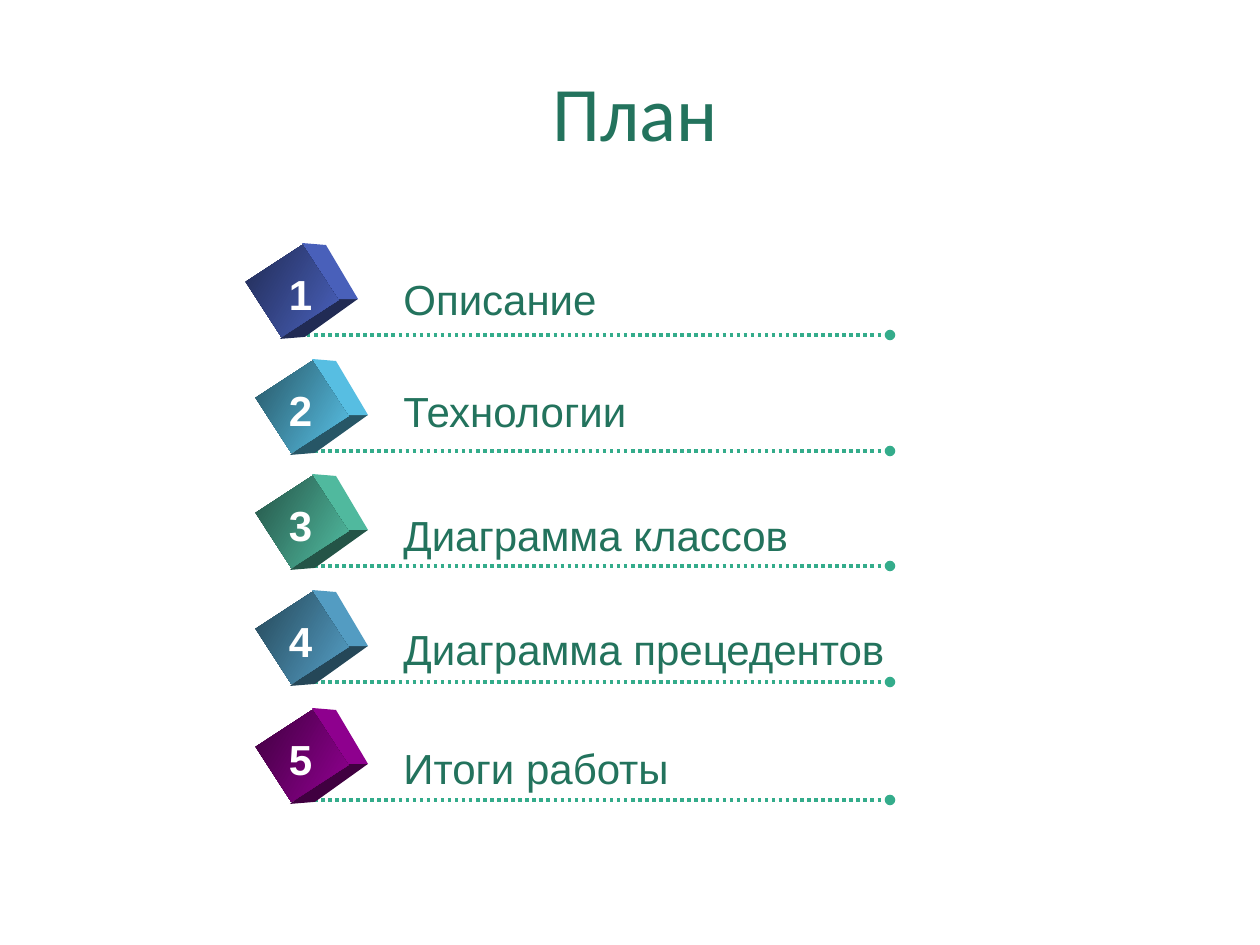
from lxml import etree
from pptx import Presentation, util as u
from pptx.dml.color import RGBColor
from pptx.enum import dml, shapes, text
from pptx.oxml.ns import qn

PX = 914400 / 126  # EMU per px
COLORS = {"text": "23735D", "line": "34AC8B", "number": "FFFFFF"}

# number, label, label top, label width, rule y, cube centre x, cube colour
ROWS = [
    ("1", "Описание", 267, 221, 335, 292, "4E67C8"),
    ("2", "Технологии", 379, 251, 451, 302, "5ECCF3"),
    ("3", "Диаграмма классов", 503, 415, 566, 302, "56C7AA"),
    ("4", "Диаграмма прецедентов", 617, 512, 682, 302, "59A8D1"),
    ("5", "Итоги работы", 736, 294, 800, 302, "990099"),
]
# Side faces of a cube: shade and corners relative to the front face's centre
SIDES = [
    (0.42, [(43, 8), (66, 8), (13, 46), (-12, 48)]),
    (0.93, [(10, -48), (34, -46), (66, 8), (43, 8)]),
]


def emu(px):
    return round(px * PX)


def shade(color, factor):
    return RGBColor(*(round(c * factor) for c in bytes.fromhex(color)))


class Deck:
    def __init__(self, prs):
        self.s = prs.slides.add_slide(prs.slide_layouts[6])

    def label(self, words, box, size, font="Arial", color="text", bold=False,
              center=False, wrap=False):
        tf = self.s.shapes.add_textbox(*map(emu, box)).text_frame
        tf.word_wrap = wrap
        tf.vertical_anchor = text.MSO_ANCHOR.MIDDLE
        p = tf.paragraphs[0]
        p.text = words
        p.alignment = text.PP_ALIGN.CENTER if center else text.PP_ALIGN.LEFT
        p.font.name, p.font.size, p.font.bold = font, u.Pt(size), bold
        p.font.color.rgb = RGBColor.from_string(COLORS[color])

    def rule(self, x1, x2, y):
        line = self.s.shapes.add_connector(
            shapes.MSO_CONNECTOR.STRAIGHT, emu(x1), emu(y), emu(x2), emu(y))
        line.line.color.rgb = RGBColor.from_string(COLORS["line"])
        line.line.width = u.Pt(2)
        line.line.dash_style = dml.MSO_LINE.ROUND_DOT
        sp_pr = line._element.spPr
        etree.SubElement(sp_pr.find(qn("a:ln")), qn("a:tailEnd"), type="oval")
        etree.SubElement(sp_pr, qn("a:effectLst"))

    def cube(self, cx, cy, color):
        for factor, corners in SIDES:
            points = [(cx + x, cy + y) for x, y in corners]
            builder = self.s.shapes.build_freeform(*points[0], scale=PX)
            builder.add_line_segments(points[1:], close=True)
            sp = builder.convert_to_shape()
            sp.fill.solid()
            sp.fill.fore_color.rgb = shade(color, factor)
            sp.line.fill.background()
            sp.shadow.inherit = False
        # Front face
        w, h = 66, 68
        sp = self.s.shapes.add_shape(
            shapes.MSO_SHAPE.RECTANGLE,
            emu(cx - w / 2), emu(cy - h / 2), emu(w), emu(h))
        sp.rotation = 57
        sp.fill.gradient()
        sp.fill.gradient_angle = 27
        for stop, factor in zip(sp.fill.gradient_stops, (0.42, 0.95)):
            stop.color.rgb = shade(color, factor)
        sp.line.fill.background()
        sp.shadow.inherit = False


def main():
    prs = Presentation()
    prs.slide_width, prs.slide_height = u.Inches(10), u.Inches(7.5)
    deck = Deck(prs)

    # Title
    deck.label("План", (25, 26, 1221, 169), 44, font="Calibri",
               center=True, wrap=True)

    # Numbered agenda
    for number, words, top, width, y, cx, color in ROWS:
        deck.rule(307, 890, y)
        deck.cube(cx, y - 44, color)
        deck.label(number, (276, y - 73, 49, 63), 24, color="number",
                   bold=True, center=True)
        deck.label(words, (391, top, width, 63), 24)

    prs.save("out.pptx")


if __name__ == "__main__":
    main()
